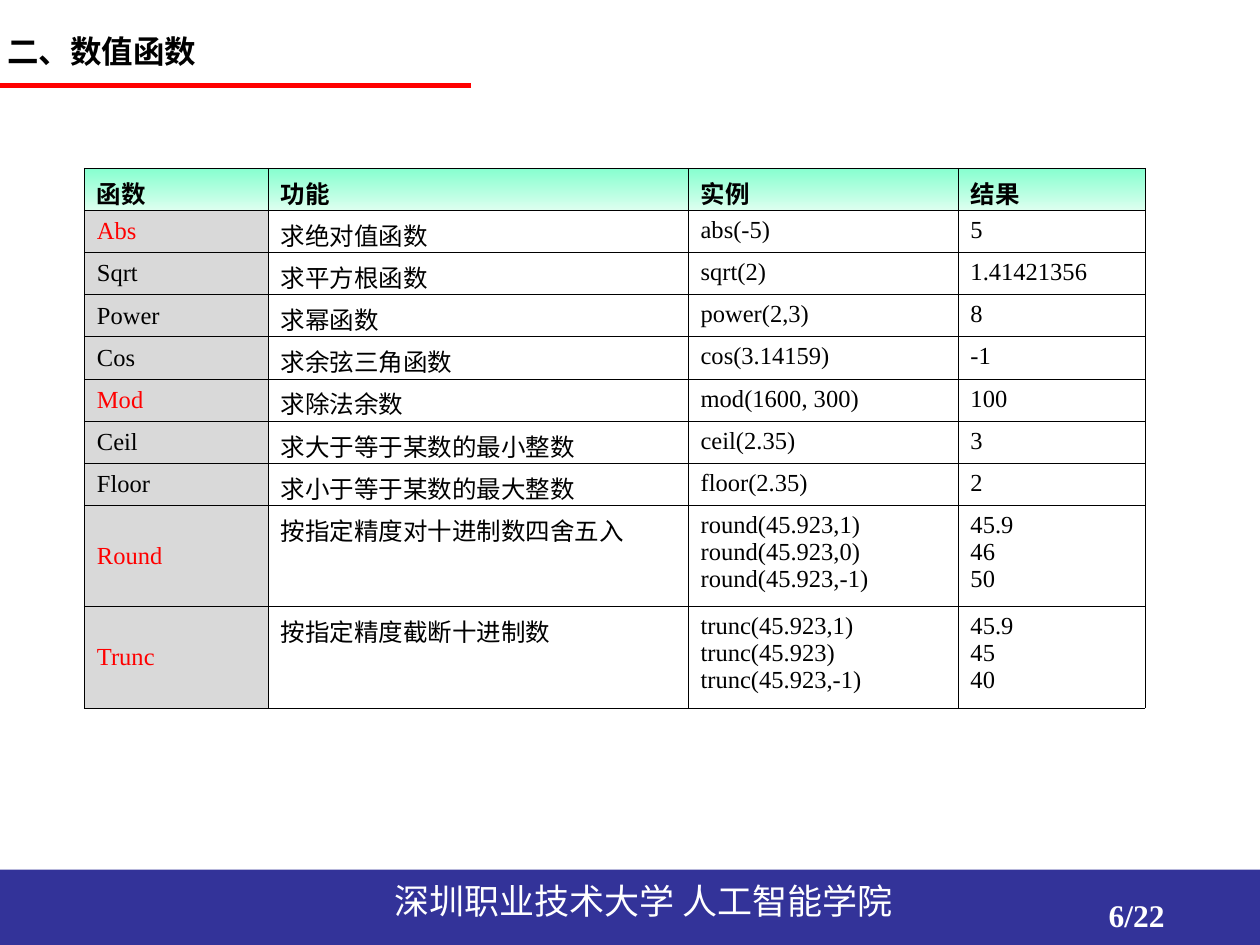
import pptx
import pptx.util
import pptx.dml.color
import pptx.enum.shapes
import pptx.enum.text
import pptx.oxml
from lxml import etree
from pptx.oxml.ns import qn

Cm = pptx.util.Cm
Pt = pptx.util.Pt
HUES = {"ink": "000000", "red": "FF0000", "white": "FFFFFF", "navy": "333399",
        "gray": "D9D9D9", "mint": "86FFCF", "pale": "DCFFEF"}
HAN = "Noto Sans CJK SC"
ROMAN = "Times New Roman"
HEAD = ["函数", "功能", "实例", "结果"]
ROWS = [
    ["Abs", "求绝对值函数", "abs(-5)", "5"],
    ["Sqrt", "求平方根函数", "sqrt(2)", "1.41421356"],
    ["Power", "求幂函数", "power(2,3)", "8"],
    ["Cos", "求余弦三角函数", "cos(3.14159)", "-1"],
    ["Mod", "求除法余数", "mod(1600, 300)", "100"],
    ["Ceil", "求大于等于某数的最小整数", "ceil(2.35)", "3"],
    ["Floor", "求小于等于某数的最大整数", "floor(2.35)", "2"],
    ["Round", "按指定精度对十进制数四舍五入",
     "round(45.923,1)\nround(45.923,0)\nround(45.923,-1)", "45.9\n46\n50"],
    ["Trunc", "按指定精度截断十进制数",
     "trunc(45.923,1)\ntrunc(45.923)\ntrunc(45.923,-1)", "45.9\n45\n40"],
]
KEYS = {"Abs", "Mod", "Round", "Trunc"}


def tint(name):
    return pptx.dml.color.RGBColor.from_string(HUES[name])


def write(frame, text, size, face, hue="ink", bold=False, hang=0):
    frame.text = text
    for para in frame.paragraphs:
        props = para._p.get_or_add_pPr()
        if hang:
            props.set("marL", str(Cm(hang)))
            props.set("indent", str(-Cm(hang)))
        font = para.font
        font.size, font.name, font.bold = Pt(size), face, bold
        font.color.rgb = tint(hue)
        # Chinese glyphs take their own face
        latin = props.find(qn("a:defRPr")).find(qn("a:latin"))
        asian = etree.Element(qn("a:ea"), typeface=HAN)
        latin.addnext(asian)


def label(slide, box, text, size, face, hue="ink", bold=False):
    area = slide.shapes.add_textbox(*map(Cm, box))
    area.text_frame.word_wrap = True
    write(area.text_frame, text, size, face, hue, bold)


def title(slide, x, y, wide):
    label(slide, (x - 0.1, y, 13.18, 1.02), "二、数值函数", 18, "Arial", bold=True)
    rule = slide.shapes.add_connector(
        pptx.enum.shapes.MSO_CONNECTOR.STRAIGHT,
        Cm(x), Cm(y + 1.19), Cm(x + wide), Cm(y + 1.19))
    rule.line.color.rgb = tint("red")
    rule.line.width = Pt(3)
    etree.SubElement(rule._element.spPr, qn("a:effectLst"))


def edge(cell):
    props = cell._tc.get_or_add_tcPr()
    for spot, side in enumerate(("lnL", "lnR", "lnT", "lnB")):
        line = etree.Element(qn("a:" + side), w=str(Pt(0.45)))
        fill = etree.SubElement(line, qn("a:solidFill"))
        etree.SubElement(fill, qn("a:srgbClr"), val=HUES["ink"])
        props.insert(spot, line)


def paint(cell, row, col):
    if row == 0:
        cell.fill.gradient()
        cell.fill.gradient_angle = 270
        for stop, hue in zip(cell.fill.gradient_stops, ("mint", "pale")):
            stop.color.rgb = tint(hue)
    elif col == 0:
        cell.fill.solid()
        cell.fill.fore_color.rgb = tint("gray")
    else:
        cell.fill.background()


def grid(slide, x, y):
    wides = [3.7, 8.47, 5.44, 3.77]
    highs = [0.85] * 8 + [2.04] * 2
    data = [HEAD] + ROWS
    table = slide.shapes.add_table(len(data), len(HEAD), Cm(x), Cm(y),
                                   Cm(sum(wides)), Cm(sum(highs))).table
    for col, wide in zip(table.columns, wides):
        col.width = Cm(wide)
    for r, (texts, high) in enumerate(zip(data, highs)):
        table.rows[r].height = Cm(high)
        for c, text in enumerate(texts):
            cell = table.cell(r, c)
            hue = "red" if text in KEYS else "ink"
            write(cell.text_frame, text, 14, ROMAN, hue, r == 0, 0.95)
            if r == 0 or c == 0:
                cell.vertical_anchor = pptx.enum.text.MSO_ANCHOR.MIDDLE
            paint(cell, r, c)
            edge(cell)


def footer(slide, x, y, wide, high):
    band = slide.shapes.add_shape(pptx.enum.shapes.MSO_SHAPE.RECTANGLE,
                                  Cm(x), Cm(y), Cm(wide), Cm(high))
    band.shadow.inherit = False
    band.fill.solid()
    band.fill.fore_color.rgb = tint("navy")
    band.line.fill.background()
    label(slide, (x + 7.7, y + 0.08, 12.55, 1.12),
          "深圳职业技术大学 人工智能学院", 20, HAN, "white")
    label(slide, (x + 22.1, y + 0.41, 5.92, 1.32), "6/22", 18, ROMAN, "white", True)


def main():
    deck = pptx.Presentation()
    deck.slide_width, deck.slide_height = Cm(25.4), Cm(19.05)
    slide = deck.slides.add_slide(deck.slide_layouts[6])
    footer(slide, 0, 17.53, 25.4, 1.52)
    grid(slide, 1.7, 3.39)
    title(slide, 0, 0.53, 9.5)
    deck.save("out.pptx")


if __name__ == "__main__":
    main()
